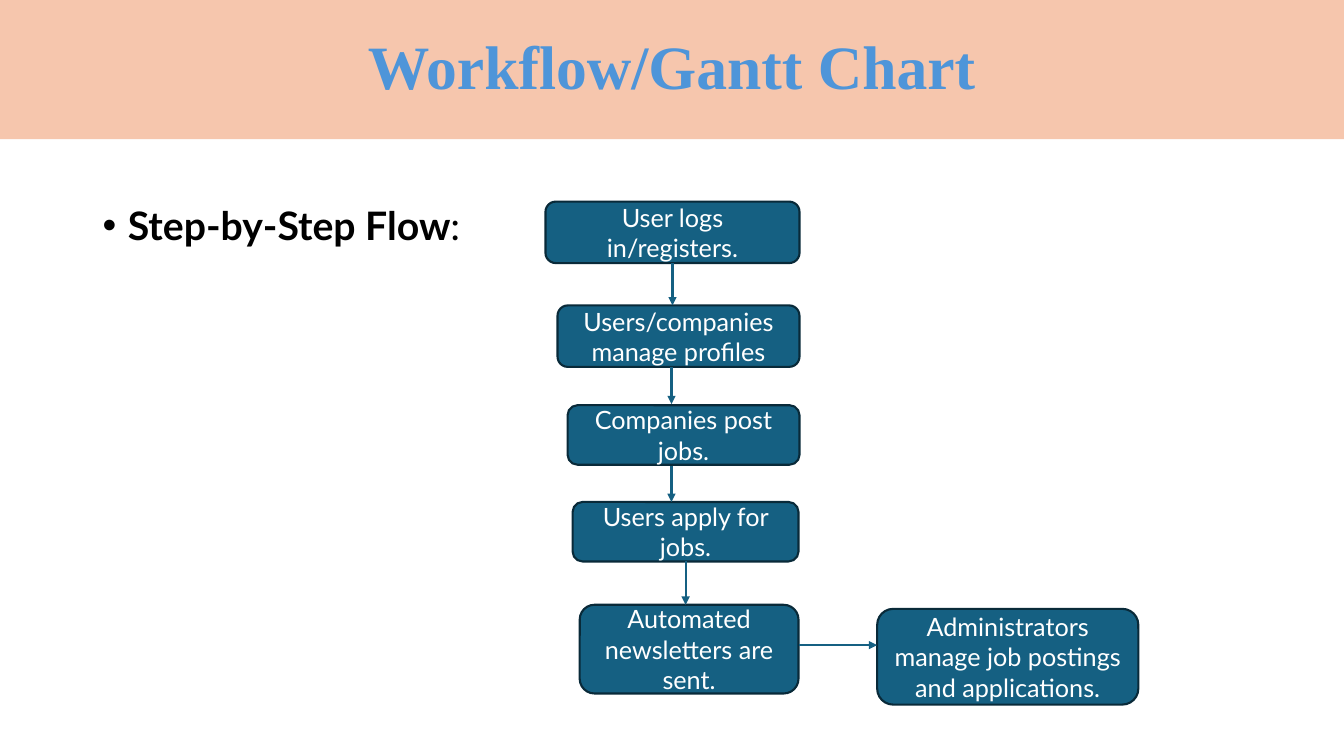
from dataclasses import dataclass
from typing import Optional

from lxml.etree import SubElement
from pptx import Presentation
from pptx.dml.color import RGBColor
from pptx.enum.shapes import MSO_CONNECTOR as Connector
from pptx.enum.shapes import MSO_SHAPE as Preset
from pptx.enum.text import MSO_ANCHOR as Anchor
from pptx.enum.text import PP_ALIGN as Align
from pptx.oxml.ns import qn
from pptx.util import Pt

PX = 9144
BOTTOM = 2
COLORS = {
    "banner": "F6C6AD",
    "title": "4E95D9",
    "step": "156082",
    "outline": "092A39",
    "white": "FFFFFF",
    "black": "000000",
}


@dataclass
class Step:
    text: str
    left: int
    top: int
    width: int
    height: int


@dataclass
class Arrow:
    x1: int
    y1: int
    x2: int
    y2: int
    joined_step: Optional[int] = None


STEPS = [
    Step("User logs in/registers.", 541, 200, 252, 61),
    Step("Users/companies manage profiles", 553, 303, 240, 61),
    Step("Companies post jobs.", 563, 402, 230, 59),
    Step("Users apply for jobs.", 568, 498, 224, 59),
    Step("Automated newsletters are sent.", 575, 600, 217, 88),
    Step("Administrators manage job postings and applications.", 870, 604, 259, 95),
]
ARROWS = [
    Arrow(667, 261, 667, 303, joined_step=0),
    Arrow(666, 364, 666, 401),
    Arrow(666, 462, 666, 498),
    Arrow(680, 557, 680, 600, joined_step=3),
    Arrow(792, 640, 870, 640),
]


def color(name: str) -> RGBColor:
    return RGBColor.from_string(COLORS[name])


def add_span(para, text: str, font: str, size: int, ink: str, bold: bool = False) -> None:
    span = para.add_run()
    span.text = text
    span.font.name = font
    span.font.size = Pt(size)
    span.font.bold = bold
    span.font.color.rgb = color(ink)


def add_box(page, preset, left: int, top: int, width: int, height: int, fill: str):
    box = page.shapes.add_shape(preset, left * PX, top * PX, width * PX, height * PX)
    box.shadow.inherit = False
    box.fill.solid()
    box.fill.fore_color.rgb = color(fill)
    box.text_frame.word_wrap = True
    box.text_frame.vertical_anchor = Anchor.MIDDLE
    box.text_frame.paragraphs[0].alignment = Align.CENTER
    return box


def add_banner(page) -> None:
    box = add_box(page, Preset.RECTANGLE, 0, 0, 1333, 138, "banner")
    box.line.fill.background()
    para = box.text_frame.paragraphs[0]
    para.line_spacing = 0.9
    add_span(para, "Workflow/Gantt Chart", "Times New Roman", 44, "title", True)


def add_heading(page) -> None:
    box = page.shapes.add_textbox(92 * PX, 200 * PX, 1150 * PX, 476 * PX)
    box.text_frame.word_wrap = True
    para = box.text_frame.paragraphs[0]
    para.line_spacing = 0.9
    para.space_before = Pt(10)
    add_span(para, "Step-by-Step Flow", "Lato", 28, "black", True)
    add_span(para, ":", "Lato", 28, "black")
    settings = para._p.get_or_add_pPr()
    settings.set("marL", str(25 * PX))
    settings.set("indent", str(-25 * PX))
    SubElement(settings, qn("a:buFont")).set("typeface", "Arial")
    SubElement(settings, qn("a:buChar")).set("char", "•")


def add_step(page, step: Step):
    box = add_box(page, Preset.ROUNDED_RECTANGLE, step.left, step.top,
                  step.width, step.height, "step")
    box.line.color.rgb = color("outline")
    box.line.width = Pt(1.5)
    add_span(box.text_frame.paragraphs[0], step.text, "Lato", 18, "white")
    return box


def add_arrow(page, arrow: Arrow, boxes: list) -> None:
    line = page.shapes.add_connector(
        Connector.STRAIGHT, arrow.x1 * PX, arrow.y1 * PX, arrow.x2 * PX, arrow.y2 * PX)
    if arrow.joined_step is not None:
        line.begin_connect(boxes[arrow.joined_step], BOTTOM)
    line.line.color.rgb = color("step")
    line.line.width = Pt(1.5)
    SubElement(line.line._get_or_add_ln(), qn("a:tailEnd")).set("type", "triangle")
    SubElement(line._element.spPr, qn("a:effectLst"))


def main() -> None:
    deck = Presentation()
    deck.slide_width = 1333 * PX
    deck.slide_height = 750 * PX
    page = deck.slides.add_slide(deck.slide_layouts[6])
    add_banner(page)
    add_heading(page)
    boxes = [add_step(page, step) for step in STEPS]
    for arrow in ARROWS:
        add_arrow(page, arrow, boxes)
    deck.save("out.pptx")


if __name__ == "__main__":
    main()
